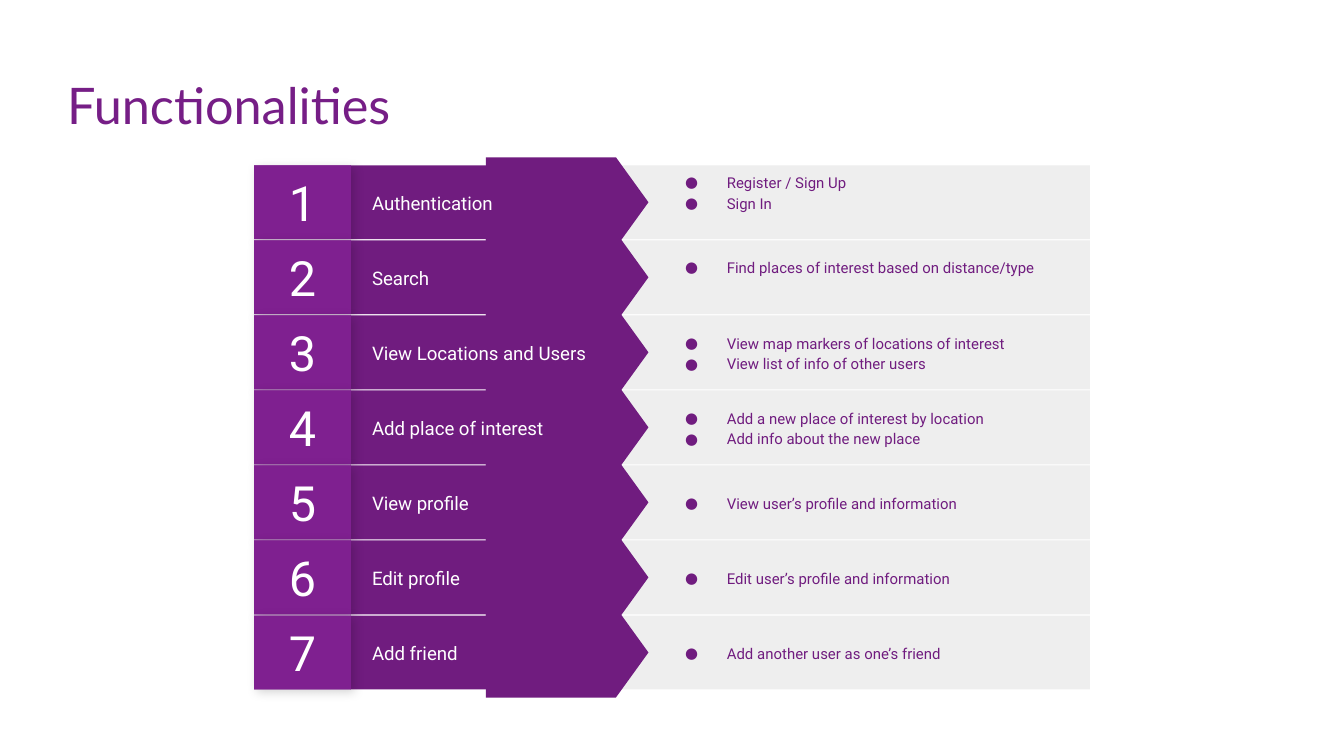
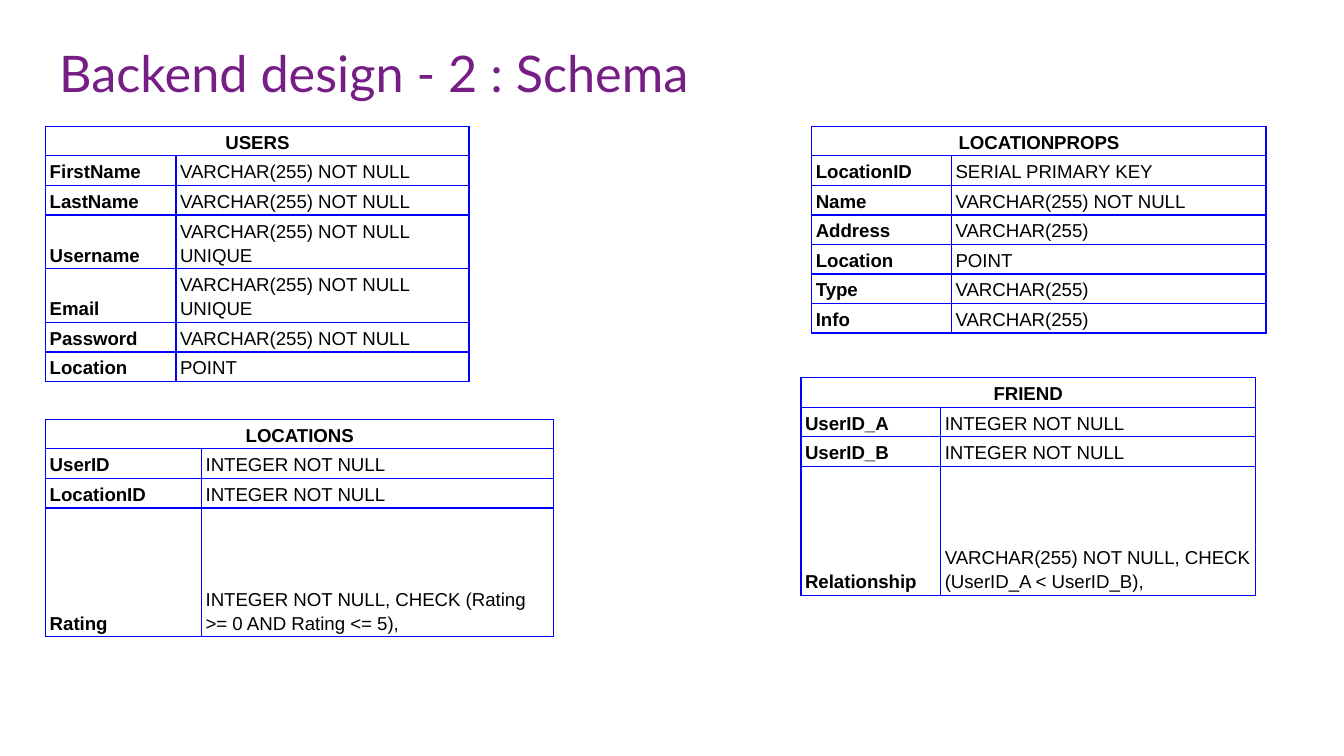
import pptx
import pptx.dml.color
import pptx.enum.shapes
import pptx.enum.text
import pptx.oxml
import pptx.oxml.ns
import pptx.util
from lxml import etree

Inches = pptx.util.Inches
Pt = pptx.util.Pt
RGBColor = pptx.dml.color.RGBColor
MSO_SHAPE = pptx.enum.shapes.MSO_SHAPE
MSO_ANCHOR = pptx.enum.text.MSO_ANCHOR
PP_ALIGN = pptx.enum.text.PP_ALIGN
qn = pptx.oxml.ns.qn

TITLE_PURPLE = RGBColor(0x76, 0x1E, 0x86)
DARK_PURPLE = RGBColor(0x70, 0x1C, 0x7F)
NUMBER_PURPLE = RGBColor(0x7F, 0x20, 0x90)
PALE_GREY = RGBColor(0xEE, 0xEE, 0xEE)
WHITE = RGBColor(0xFF, 0xFF, 0xFF)
BLACK = RGBColor(0, 0, 0)
BORDER_BLUE = RGBColor(0, 0, 0xFF)

SLIDE_WIDTH = 10

# Functionality rows
FIRST_ROW_TOP = 1.23
LAST_ROW_TOP = 4.58
ROW_HEIGHT = 0.55
DETAIL_LINE = 0.16

# Name, details, lines left free below the details
FUNCTIONALITIES = [
    ("Authentication", ["Register / Sign Up", "Sign In"], 1),
    ("Search", ["Find places of interest based on distance/type"], 1),
    ("View Locations and Users",
     ["View map markers of locations of interest",
      "View list of info of other users"], 0),
    ("Add place of interest",
     ["Add a new place of interest by location",
      "Add info about the new place"], 0),
    ("View profile", ["View user’s profile and information"], 0),
    ("Edit profile", ["Edit user’s profile and information"], 0),
    ("Add friend", ["Add another user as one’s friend"], 0),
]

# Schema tables
LINE_ROW = 0.22
WRAPPED_ROW = 0.4
CHECK_ROWS = [0.44, 0.52]

REQUIRED_TEXT = "VARCHAR(255) NOT NULL"
UNIQUE_TEXT = "VARCHAR(255) NOT NULL UNIQUE"
OPTIONAL_TEXT = "VARCHAR(255)"
REQUIRED_INTEGER = "INTEGER NOT NULL"

# Name, left, top, column widths, fields
SCHEMA = [
    ("USERS", 0.34, 0.94, (0.97, 2.18), [
        ("FirstName", REQUIRED_TEXT),
        ("LastName", REQUIRED_TEXT),
        ("Username", UNIQUE_TEXT),
        ("Email", UNIQUE_TEXT),
        ("Password", REQUIRED_TEXT),
        ("Location", "POINT")]),
    ("LOCATIONPROPS", 6.04, 0.94, (1.04, 2.34), [
        ("LocationID", "SERIAL PRIMARY KEY"),
        ("Name", REQUIRED_TEXT),
        ("Address", OPTIONAL_TEXT),
        ("Location", "POINT"),
        ("Type", OPTIONAL_TEXT),
        ("Info", OPTIONAL_TEXT)]),
    ("LOCATIONS", 0.34, 3.12, (1.16, 2.62), [
        ("UserID", REQUIRED_INTEGER),
        ("LocationID", REQUIRED_INTEGER),
        ("Rating", "INTEGER NOT NULL, CHECK (Rating >= 0 AND Rating <= 5),")]),
    ("FRIEND", 5.96, 2.81, (1.04, 2.34), [
        ("UserID_A", REQUIRED_INTEGER),
        ("UserID_B", REQUIRED_INTEGER),
        ("Relationship",
         "VARCHAR(255) NOT NULL, CHECK (UserID_A < UserID_B),")]),
]


def style_font(paragraph, name, size, color, bold=False):
    font = paragraph.font
    font.name = name
    font.size = Pt(size)
    font.color.rgb = color
    font.bold = bold


def set_frame(frame, anchor, bottom=0.1):
    frame.word_wrap = True
    frame.auto_size = pptx.enum.text.MSO_AUTO_SIZE.NONE
    frame.vertical_anchor = anchor
    frame.margin_left = frame.margin_right = frame.margin_top = Inches(0.1)
    frame.margin_bottom = Inches(bottom)


def add_titled_slide(presentation, text, left, top, width, height):
    slide = presentation.slides.add_slide(presentation.slide_layouts[5])
    title = slide.shapes.title
    title.left, title.top = Inches(left), Inches(top)
    title.width, title.height = Inches(width), Inches(height)
    set_frame(title.text_frame, MSO_ANCHOR.TOP)
    paragraph = title.text_frame.paragraphs[0]
    paragraph.text = text
    paragraph.alignment = PP_ALIGN.LEFT
    style_font(paragraph, "Lato", 27, TITLE_PURPLE)
    return slide


def add_block(shapes, left, top, width, height, color, kind=MSO_SHAPE.RECTANGLE):
    shape = shapes.add_shape(kind, Inches(left), Inches(top),
                             Inches(width), Inches(height))
    shape.shadow.inherit = False
    shape.fill.solid()
    shape.fill.fore_color.rgb = color
    shape.line.fill.background()
    return shape


def add_soft_shadow(shape):
    effects = shape._element.spPr.find(qn("a:effectLst"))
    shadow = etree.SubElement(effects, qn("a:outerShdw"), blurRad=str(Pt(5.6)),
                              dist=str(Pt(2.2)), dir=str(45 * 60000),
                              algn="tl", rotWithShape="0")
    color = etree.SubElement(shadow, qn("a:srgbClr"), val=str(BLACK))
    etree.SubElement(color, qn("a:alpha"), val="17000")


def add_text(shapes, left, top, width, height, lines, size, color,
             bullets=False, bottom=0.1):
    box = shapes.add_textbox(Inches(left), Inches(top),
                             Inches(width), Inches(height))
    frame = box.text_frame
    set_frame(frame, MSO_ANCHOR.MIDDLE, bottom)
    for index, line in enumerate(lines):
        paragraph = frame.add_paragraph() if index else frame.paragraphs[0]
        paragraph.text = line
        paragraph.line_spacing = 1.15
        if bullets:
            add_bullet(paragraph, size, color)
        style_font(paragraph, "Roboto", size, color)


def add_bullet(paragraph, size, color):
    properties = paragraph._p.get_or_add_pPr()
    properties.set("marL", str(Inches(0.5)))
    properties.set("indent", str(Inches(-0.31)))
    bullet_color = etree.SubElement(properties, qn("a:buClr"))
    etree.SubElement(bullet_color, qn("a:srgbClr"), val=str(color))
    etree.SubElement(properties, qn("a:buSzPts"), val=str(size * 100))
    etree.SubElement(properties, qn("a:buFont"), typeface="Roboto")
    etree.SubElement(properties, qn("a:buChar"), char="●")


def add_functionality(slide, number, top, name, details, free_lines):
    shapes = slide.shapes.add_group_shape().shapes
    add_block(shapes, 4.12, top, 3.99, ROW_HEIGHT, PALE_GREY)
    add_block(shapes, 2.61, top, 1.93, ROW_HEIGHT, DARK_PURPLE)

    # Arrow: a page connector turned to point right
    breadth, length, center = 0.67, 1.21, 4.22
    arrow = add_block(shapes, center - breadth / 2,
                      top + (ROW_HEIGHT - length) / 2, breadth, length,
                      DARK_PURPLE, MSO_SHAPE.FLOWCHART_OFFPAGE_CONNECTOR)
    arrow.rotation = 270
    add_text(shapes, 2.67, top + 0.06, 2.03, 0.42, [name], 10, WHITE)

    # Number on its shadowed backing
    add_soft_shadow(add_block(shapes, 1.89, top, 0.72, ROW_HEIGHT, TITLE_PURPLE))
    tile = add_block(shapes, 1.89, top, 0.72, ROW_HEIGHT, NUMBER_PURPLE)
    set_frame(tile.text_frame, MSO_ANCHOR.MIDDLE)
    paragraph = tile.text_frame.paragraphs[0]
    paragraph.text = str(number)
    paragraph.alignment = PP_ALIGN.CENTER
    style_font(paragraph, "Roboto", 26, WHITE)

    add_text(shapes, 4.81, top, 3.1, ROW_HEIGHT, details, 8, DARK_PURPLE,
             bullets=True, bottom=0.1 + free_lines * DETAIL_LINE)


def format_cell(cell, text="", bold=False, alignment=PP_ALIGN.LEFT):
    cell.margin_left = cell.margin_right = Inches(0.03)
    cell.margin_top = cell.margin_bottom = Inches(0.02)
    cell.vertical_anchor = MSO_ANCHOR.BOTTOM
    properties = cell._tc.get_or_add_tcPr()
    for side in ("a:lnL", "a:lnR", "a:lnT", "a:lnB"):
        line = etree.SubElement(properties, qn(side), w=str(Pt(0.75)))
        fill = etree.SubElement(line, qn("a:solidFill"))
        etree.SubElement(fill, qn("a:srgbClr"), val=str(BORDER_BLUE))
    cell.fill.background()
    paragraph = cell.text_frame.paragraphs[0]
    paragraph.text = text
    paragraph.alignment = alignment
    paragraph.line_spacing = 1.15
    style_font(paragraph, "Arial", 10, BLACK, bold)


def row_heights(fields):
    heights = [LINE_ROW]
    for _, kind in fields:
        if "CHECK" in kind:
            heights += CHECK_ROWS
        else:
            heights.append(WRAPPED_ROW if kind == UNIQUE_TEXT else LINE_ROW)
    return heights


def add_schema_table(slide, name, left, top, widths, fields):
    heights = row_heights(fields)
    frame = slide.shapes.add_table(len(heights), 2, Inches(left), Inches(top),
                                   Inches(sum(widths)), Inches(sum(heights)))
    table = frame.table
    table.first_row = table.horz_banding = False
    for column, width in zip(table.columns, widths):
        column.width = Inches(width)
    for row, height in zip(table.rows, heights):
        row.height = Inches(height)

    format_cell(table.cell(0, 0), name, True, PP_ALIGN.CENTER)
    format_cell(table.cell(0, 1))
    table.cell(0, 0).merge(table.cell(0, 1))
    for row, field in enumerate(fields, 1):
        for column, text in enumerate(field):
            format_cell(table.cell(row, column), text, bold=column == 0)

    # A checked field spans the last two rows
    last = len(heights) - 1
    if last > len(fields):
        for column in range(2):
            format_cell(table.cell(last, column))
            table.cell(last - 1, column).merge(table.cell(last, column))


def main():
    presentation = pptx.Presentation()
    presentation.slide_width = Inches(SLIDE_WIDTH)
    presentation.slide_height = Inches(SLIDE_WIDTH * 9 / 16)

    # Functionalities
    slide = add_titled_slide(presentation, "Functionalities",
                             0.4, 0.45, 8.04, 0.44)
    pitch = (LAST_ROW_TOP - FIRST_ROW_TOP) / (len(FUNCTIONALITIES) - 1)
    for index, functionality in enumerate(FUNCTIONALITIES):
        add_functionality(slide, index + 1, FIRST_ROW_TOP + index * pitch,
                          *functionality)

    # Schema
    slide = add_titled_slide(presentation, "Backend design - 2 : Schema",
                             0.34, 0.21, 9.32, 0.63)
    for schema_table in SCHEMA:
        add_schema_table(slide, *schema_table)

    presentation.save("out.pptx")


if __name__ == "__main__":
    main()
